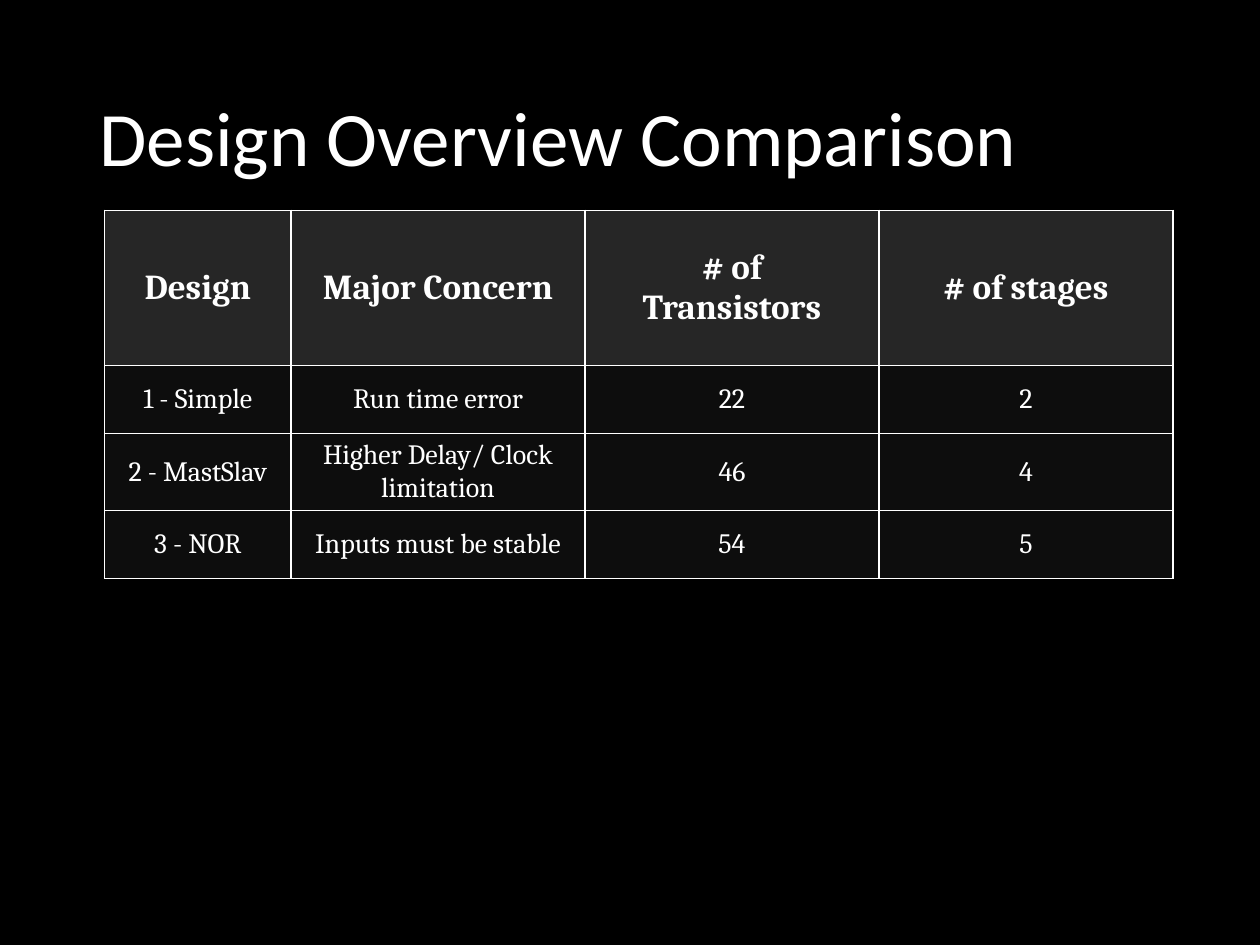
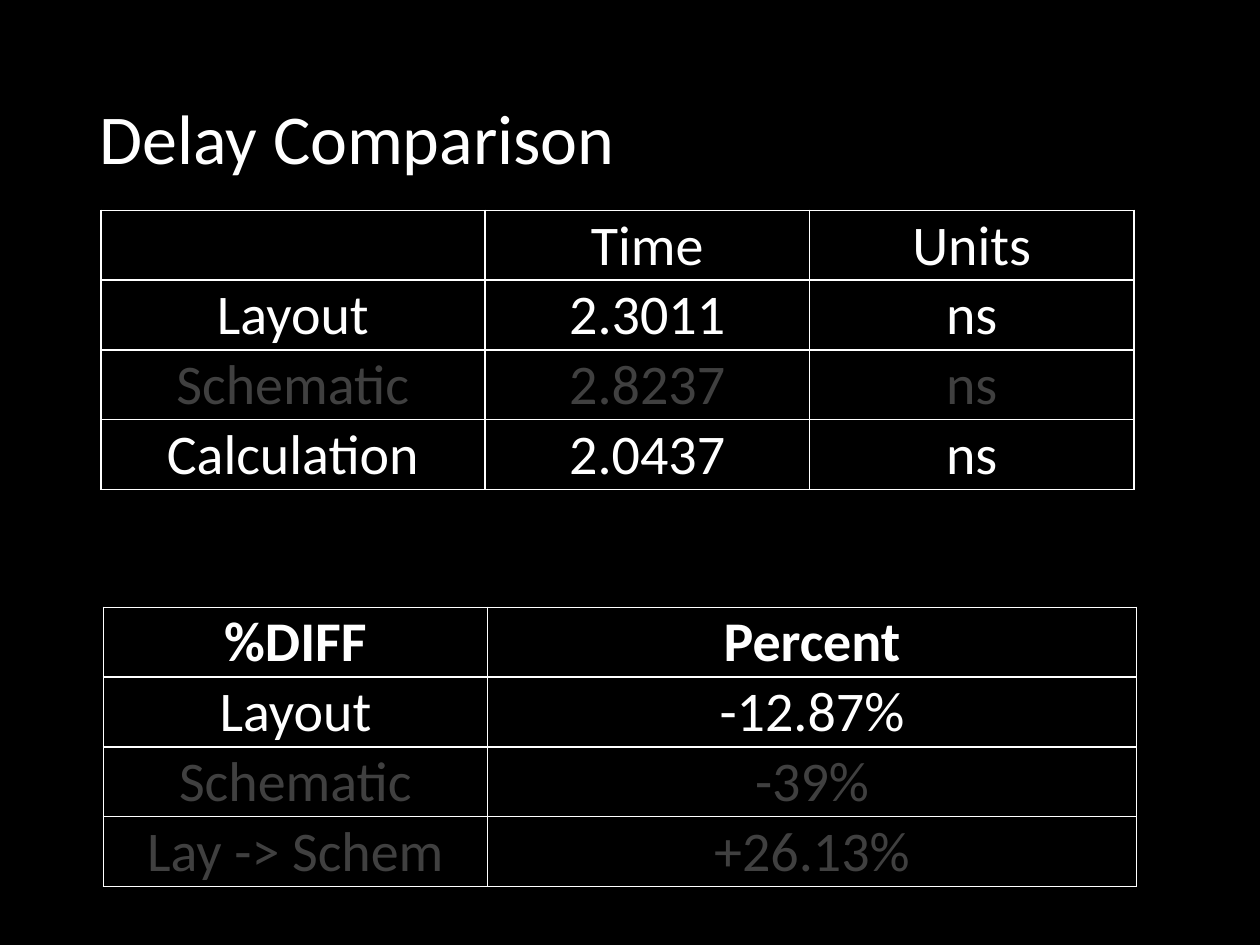
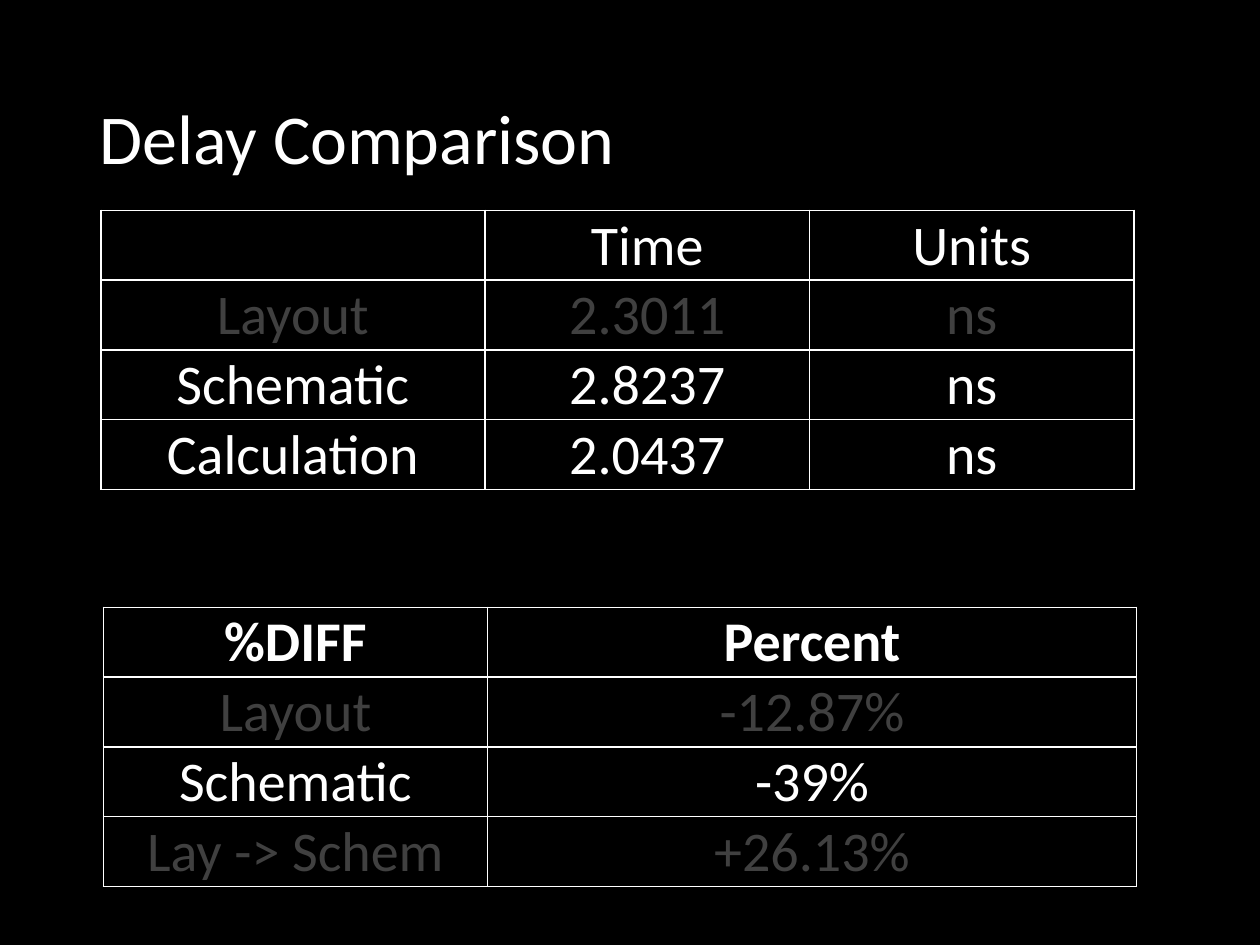
from lxml.etree import SubElement
from pptx import Presentation
from pptx.dml.color import RGBColor
from pptx.enum.text import MSO_ANCHOR, PP_ALIGN
from pptx.oxml.ns import qn
from pptx.util import Inches, Pt

# Shared look
WIDTH, HEIGHT = Inches(10), Inches(7.5)
BLACK, WHITE, DIM = "000000", "FFFFFF", "404040"
HEADER_FILL, BODY_FILL = "262626", "0D0D0D"
TITLE_FONT, SERIF = "Calibri", "Cambria"
TABLE_TOP = 22.27

DESIGNS = [
    ["Design", "Major Concern", "# of\nTransistors", "# of stages"],
    ["1 - Simple", "Run time error", "22", "2"],
    ["2 - MastSlav", "Higher Delay/ Clock limitation", "46", "4"],
    ["3 - NOR", "Inputs must be stable", "54", "5"],
]
DELAYS = [
    ["", "Time", "Units"],
    ["Layout", "2.3011", "ns"],
    ["Schematic", "2.8237", "ns"],
    ["Calculation", "2.0437", "ns"],
]
DIFFERENCES = [
    ["%DIFF", "Percent"],
    ["Layout", "-12.87%"],
    ["Schematic", "-39%"],
    ["Lay -> Schem", "+26.13%"],
]


def across(percent):
    return round(WIDTH * percent / 100)


def down(percent):
    return round(HEIGHT * percent / 100)


def color(value):
    return RGBColor.from_string(value)


def paint(fill, value):
    fill.solid()
    fill.fore_color.rgb = color(value)


def write(frame, text, size, font=TITLE_FONT, ink=WHITE, bold=False,
          align=PP_ALIGN.CENTER, spacing=None):
    """Fill a text frame, one paragraph per line of text."""
    for index, line in enumerate(text.split("\n")):
        para = frame.add_paragraph() if index else frame.paragraphs[0]
        para.alignment = align
        para.line_spacing = spacing
        span = para.add_run()
        span.text = line
        span.font.name, span.font.size = font, Pt(size)
        span.font.bold = bold
        span.font.color.rgb = color(ink)


def add_page(deck, title, size):
    page = deck.slides.add_slide(deck.slide_layouts.get_by_name("Title Only"))
    box = page.shapes.title
    box.left, box.top = across(6.9), down(5.33)
    box.width, box.height = across(86.2), down(19.33)
    box.text_frame.vertical_anchor = MSO_ANCHOR.MIDDLE
    write(box.text_frame, title, size, align=PP_ALIGN.LEFT, spacing=0.9)
    return page


def outline(cell):
    """Draw a thin white line on all four sides of a cell."""
    properties = cell._tc.get_or_add_tcPr()
    for side in ("a:lnL", "a:lnR", "a:lnT", "a:lnB"):
        line = SubElement(properties, qn(side), w=str(Pt(1)))
        fill = SubElement(line, qn("a:solidFill"))
        SubElement(fill, qn("a:srgbClr"), val=WHITE)


def add_grid(page, rows, left, top, width, label_width, row_heights):
    """Add a plain table: a label column, then equal columns in the rest."""
    count = len(rows[0])
    table = page.shapes.add_table(len(rows), count, across(left), down(top),
                                  across(width), down(sum(row_heights))).table
    table.first_row = table.horz_banding = False
    rest = (width - label_width) / (count - 1)
    for index, column in enumerate(table.columns):
        column.width = across(rest if index else label_width)
    for row, height in zip(table.rows, row_heights):
        row.height = down(height)
    for cell in table.iter_cells():
        cell.vertical_anchor = MSO_ANCHOR.MIDDLE
        outline(cell)
    return table


def fill_cell(cell, text, fill, **style):
    paint(cell.fill, fill)
    if text:
        write(cell.text_frame, text, **style)


def add_design_table(page):
    table = add_grid(page, DESIGNS, 8.3, TABLE_TOP, 84.8, 14.8,
                     [16.4, 7.2, 7.2, 7.2])
    for r, row in enumerate(DESIGNS):
        header = r == 0
        for c, text in enumerate(row):
            fill_cell(table.cell(r, c), text,
                      HEADER_FILL if header else BODY_FILL,
                      size=20 if header else 16, font=SERIF, bold=header)


def add_delay_table(page, rows, left, top, lit, bold_header=False):
    """Add a table in which only the header and the lit rows stand out."""
    table = add_grid(page, rows, left, top, 82, 30.5, [7.2] * len(rows))
    for r, row in enumerate(rows):
        header = r == 0
        ink = WHITE if header or row[0] in lit else DIM
        for c, text in enumerate(row):
            cell = table.cell(r, c)
            cell.margin_left = cell.margin_right = Inches(0.01)
            cell.margin_top, cell.margin_bottom = Inches(0.01), 0
            fill_cell(cell, text, BLACK, size=32, ink=ink,
                      bold=header and bold_header)


def main():
    deck = Presentation()
    deck.slide_width, deck.slide_height = WIDTH, HEIGHT
    paint(deck.slide_master.background.fill, BLACK)

    # Overview of the three designs
    add_design_table(add_page(deck, "Design Overview Comparison", 44))

    # Delays, with one measurement at a time set against the calculation
    for measured in ("Layout", "Schematic"):
        page = add_page(deck, "Delay Comparison", 40)
        lit = {measured, "Calculation"}
        add_delay_table(page, DELAYS, 8, TABLE_TOP, lit)
        add_delay_table(page, DIFFERENCES, 8.2, 64.27, lit, bold_header=True)

    deck.save("out.pptx")


if __name__ == "__main__":
    main()
